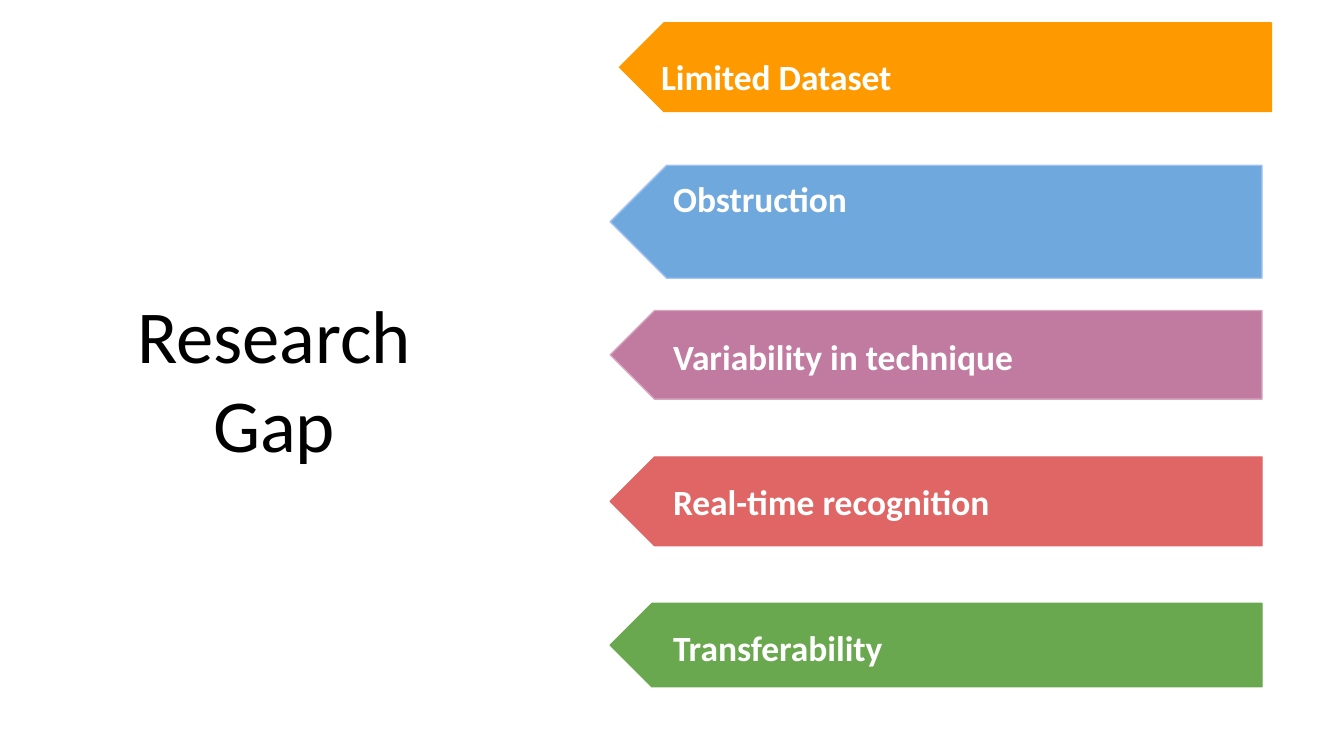
import pptx
import pptx.dml.color
import pptx.enum.shapes
import pptx.enum.text
import pptx.util

Inches = pptx.util.Inches
RGBColor = pptx.dml.color.RGBColor
Align = pptx.enum.text.PP_ALIGN
Anchor = pptx.enum.text.MSO_ANCHOR

BLACK = RGBColor(0x00, 0x00, 0x00)
WHITE = RGBColor(0xFF, 0xFF, 0xFF)
ORANGE = RGBColor(0xFF, 0x99, 0x00)
BLUE = RGBColor(0x6F, 0xA8, 0xDC)
LIGHT_BLUE = RGBColor(0xA4, 0xC2, 0xF4)
MAUVE = RGBColor(0xC2, 0x7B, 0xA0)
LIGHT_MAUVE = RGBColor(0xD5, 0xA6, 0xBD)
RED = RGBColor(0xE0, 0x66, 0x66)
GREEN = RGBColor(0x6A, 0xA8, 0x4F)


class GapSlide:
    font_name = "Calibri"
    inset = 0.1

    def __init__(self, slide):
        self.slide = slide

    def banner(self, left, top, width, height, fill, outline):
        """Pentagon turned round so that it points left."""
        banner = self.slide.shapes.add_shape(
            pptx.enum.shapes.MSO_SHAPE.PENTAGON,
            Inches(left), Inches(top), Inches(width), Inches(height))
        banner.rotation = 180
        banner.adjustments[0] = 0.5
        banner.shadow.inherit = False
        banner.fill.solid()
        banner.fill.fore_color.rgb = fill
        banner.line.color.rgb = outline
        banner.line.width = pptx.util.Pt(0.75)

    def text(self, words, left, top, width, height, size, color, bold=False,
             align=Align.LEFT, anchor=Anchor.TOP, indent=0):
        box = self.slide.shapes.add_textbox(
            Inches(left), Inches(top), Inches(width), Inches(height))
        frame = box.text_frame
        frame.word_wrap = True
        frame.vertical_anchor = anchor
        frame.margin_left = Inches(self.inset + indent)
        frame.margin_right = Inches(self.inset)
        frame.margin_top = frame.margin_bottom = Inches(self.inset)
        paragraph = frame.paragraphs[0]
        paragraph.alignment = align
        run = paragraph.add_run()
        run.text = words
        run.font.name = self.font_name
        run.font.size = pptx.util.Pt(size)
        run.font.bold = bold
        run.font.color.rgb = color


def main():
    deck = pptx.Presentation()
    # Widescreen, 16:9
    deck.slide_width = Inches(10)
    deck.slide_height = Inches(10 * 9 / 16)
    page = GapSlide(deck.slides.add_slide(deck.slide_layouts[6]))

    # Title
    page.text("Research Gap", 0.21, 1.61, 3.16, 2.41, 40, BLACK,
              align=Align.CENTER, anchor=Anchor.MIDDLE, indent=0.5)

    # Gaps: label, banner left, top, height, fill, outline,
    # then label left, top, width, height
    gaps = [
        ("Limited Dataset", 4.61, 0.17, 0.66, ORANGE, ORANGE,
         4.82, 0.31, 4.42, 0.52),
        ("Obstruction", 4.54, 1.23, 0.84, BLUE, LIGHT_BLUE,
         4.91, 1.22, 4.42, 0.84),
        ("Variability in technique", 4.54, 2.31, 0.66, MAUVE, LIGHT_MAUVE,
         4.91, 2.39, 4.42, 0.52),
        ("Real-time recognition", 4.54, 3.4, 0.66, RED, RED,
         4.91, 3.47, 3, 0.52),
        ("Transferability", 4.54, 4.49, 0.62, GREEN, GREEN,
         4.91, 4.56, 3, 0.52),
    ]
    for label, left, top, height, fill, outline, *label_place in gaps:
        page.banner(left, top, 4.85, height, fill, outline)
        page.text(label, *label_place, 19, WHITE, bold=True)

    deck.save("out.pptx")


if __name__ == "__main__":
    main()
